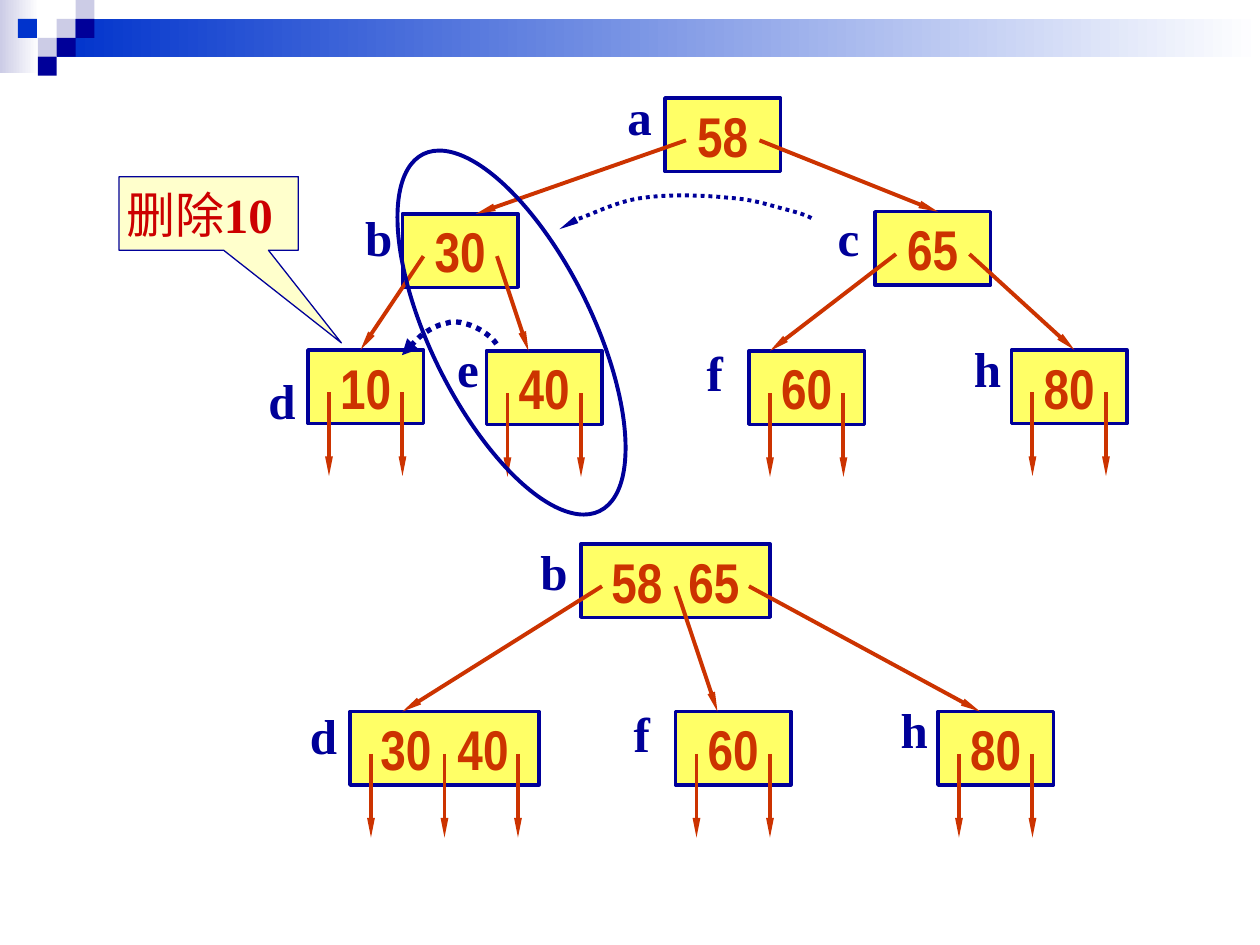
"""Build a slide on deleting key 10 from a 2-3 tree, before and after merging."""
from lxml.etree import SubElement
from pptx import Presentation
from pptx.dml.color import RGBColor
from pptx.enum.dml import MSO_LINE
from pptx.enum.shapes import MSO_CONNECTOR, MSO_SHAPE
from pptx.enum.text import MSO_ANCHOR, MSO_AUTO_SIZE, PP_ALIGN
from pptx.oxml.ns import qn
from pptx.util import Pt

COLORS = {
    "navy": "000099", "blue": "0033CC", "lavender": "CCCCE6", "white": "FFFFFF",
    "yellow": "FFFF66", "cream": "FFFFCC", "rust": "CC3300", "red": "CC0000",
}


def write(shape, text, size=28, font="Times New Roman", color="navy", bold=True, spacing=0):
    run = shape.text_frame.paragraphs[0].add_run()
    run.text = text
    run.font.size = Pt(size)
    run.font.name = font
    run.font.bold = bold
    run.font.color.rgb = RGBColor.from_string(COLORS[color])
    if spacing:
        run._r.get_or_add_rPr().set("spc", str(spacing * 100))


def paint(shape, fill=None, line=None, width=2.25, dash=None, head=None):
    if hasattr(shape, "fill"):
        shape.shadow.inherit = False
        if fill:
            shape.fill.solid()
            shape.fill.fore_color.rgb = RGBColor.from_string(COLORS[fill])
        else:
            shape.fill.background()
    if line:
        shape.line.color.rgb = RGBColor.from_string(COLORS[line])
        shape.line.width = Pt(width)
    else:
        shape.line.fill.background()
    if dash:
        shape.line.dash_style = dash
    if head:
        head_width, head_length = head
        SubElement(shape.line._get_or_add_ln(), qn("a:tailEnd"),
                   type="triangle", w=head_width, len=head_length)
    if not hasattr(shape, "fill"):
        SubElement(shape._element.spPr, qn("a:effectLst"))


presentation = Presentation()
presentation.slide_width, presentation.slide_height = Pt(720), Pt(540)
slide = presentation.slides.add_slide(presentation.slide_layouts[6])
shapes = slide.shapes

for left, top, width, height, start in [
    (0, 0, 22.3, 41.8, "lavender"), (32.4, 10.8, 687.6, 21.6, "blue"),
]:
    band = shapes.add_shape(MSO_SHAPE.RECTANGLE, Pt(left), Pt(top), Pt(width), Pt(height))
    paint(band)
    band.fill.gradient()
    band.fill.gradient_angle = 0
    for stop, color in zip(band.fill.gradient_stops, (start, "white")):
        stop.color.rgb = RGBColor.from_string(COLORS[color])

TILE = 10.8
for column, row, color in [
    (3, 1, "lavender"), (4, 0, "lavender"), (4, 1, "navy"), (2, 2, "lavender"),
    (0.95, 1, "blue"), (3, 2, "navy"), (2, 3, "navy"),
]:
    tile = shapes.add_shape(MSO_SHAPE.RECTANGLE, Pt(column * TILE), Pt(row * TILE),
                            Pt(TILE), Pt(TILE))
    paint(tile, fill=color)

LABEL_WIDTHS = {"a": 28, "b": 29.5, "c": 26.6, "d": 29.5, "e": 26.6, "f": 23.8, "h": 29.5}
NODE_HEIGHT, KEY_PITCH, PORT_INSET, PORT_DROP, LEAF_LENGTH = 42, 42, 12, 24.2, 47.8
NODES = [
    ("d", ["10"], 176, 200, 146.2, 208, []),
    ("e", ["40"], 278, 200.5, 254.2, 190, []),
    ("b", ["30"], 230, 122.2, 201.6, 115.2, [(206, 200), (302, 200.5)]),
    ("f", ["60"], 428, 200.5, 396.7, 192.2, []),
    ("h", ["80"], 578, 200, 549.4, 190, []),
    ("c", ["65"], 500, 121, 471.6, 115.2, [(440, 200.5), (614, 200)]),
    ("a", ["58"], 380, 56, 351.4, 46, [(272, 122.2), (536, 121)]),
    ("d", ["30", "40"], 200, 406.6, 170, 399.6, []),
    ("f", ["60"], 386, 406.6, 355, 398.2, []),
    ("h", ["80"], 536, 406.6, 507.6, 396, []),
    ("b", ["58", "65"], 332, 310.8, 301.7, 306, [(230, 406.6), (410, 406.6), (560, 406.6)]),
]
for name, keys, left, top, label_left, label_top, targets in NODES:
    node = shapes.add_shape(MSO_SHAPE.RECTANGLE, Pt(left), Pt(top),
                            Pt(24 + KEY_PITCH * len(keys)), Pt(NODE_HEIGHT))
    paint(node, fill="yellow", line="navy", width=2)
    node.text_frame.word_wrap = False
    node.text_frame.vertical_anchor = MSO_ANCHOR.MIDDLE
    node.text_frame.paragraphs[0].alignment = PP_ALIGN.CENTER
    for index, key in enumerate(keys):
        if index:
            write(node, " ", size=32, font="Arial Narrow", color="rust", spacing=7.5)
        write(node, key, size=32, font="Arial Narrow", color="rust")

    for index in range(len(keys) + 1):
        port_x = left + PORT_INSET + KEY_PITCH * index
        port_y = top + PORT_DROP
        end_x, end_y = targets[index] if targets else (port_x, port_y + LEAF_LENGTH)
        pointer = shapes.add_connector(MSO_CONNECTOR.STRAIGHT, Pt(port_x), Pt(port_y),
                                       Pt(end_x), Pt(end_y))
        paint(pointer, line="rust", head=("sm", "lg"))

    label = shapes.add_textbox(Pt(label_left), Pt(label_top), Pt(LABEL_WIDTHS[name]), Pt(41))
    label.text_frame.word_wrap = False
    label.text_frame.auto_size = MSO_AUTO_SIZE.SHAPE_TO_FIT_TEXT
    write(label, name)

callout = shapes.add_shape(MSO_SHAPE.RECTANGULAR_CALLOUT, Pt(68), Pt(101), Pt(102.5), Pt(42))
callout.adjustments[0], callout.adjustments[1] = 0.74, 1.76
paint(callout, fill="cream", line="navy", width=0.75)
caption = shapes.add_textbox(Pt(65), Pt(102), Pt(105), Pt(41))
caption.text_frame.word_wrap = False
caption.text_frame.auto_size = MSO_AUTO_SIZE.SHAPE_TO_FIT_TEXT
write(caption, "删除", color="red", bold=False)
write(caption, "10", color="red")

MOVES = [
    (2.25, ("sm", "lg"), [
        (463.7, 124.6), (459.4, 122.4), (454.3, 121), (445.7, 118.8),
        (437.8, 116.6), (429.1, 113.8), (416.2, 113), (403.2, 111.6),
        (382.3, 110.9), (367.9, 113), (354.2, 114.5), (339.8, 121.7),
        (331.9, 124.6), (324, 127.4), (321.8, 131), (319.7, 131)]),
    (3, ("med", "med"), [
        (283.7, 196.6), (282.2, 194.4), (280.8, 193), (277.9, 190.8),
        (275, 188.6), (270, 185.8), (265.7, 185), (262.1, 183.6),
        (257.8, 183.6), (254.2, 185), (249.8, 185.8), (246.2, 187.9),
        (241.9, 190.8), (238.3, 193.7), (231.8, 200.9), (229.7, 203)]),
]
for width, head, points in MOVES:
    start, *controls = [(Pt(x), Pt(y)) for x, y in points]
    builder = shapes.build_freeform(*start)
    builder.add_line_segments(controls, close=False)
    move = builder.convert_to_shape()
    outline = next(move._element.iter(qn("a:path")))
    segments = outline.findall(qn("a:lnTo"))
    for index in range(0, len(segments), 3):
        curve = SubElement(outline, qn("a:cubicBezTo"))
        for segment in segments[index:index + 3]:
            curve.append(segment[0])
            outline.remove(segment)
    paint(move, line="navy", width=width, dash=MSO_LINE.ROUND_DOT, head=head)

merge_ring = shapes.add_shape(MSO_SHAPE.OVAL, Pt(246.2), Pt(76.3), Pt(92.2), Pt(227.5))
merge_ring.rotation = 333.7
paint(merge_ring, line="navy")

presentation.save("out.pptx")
